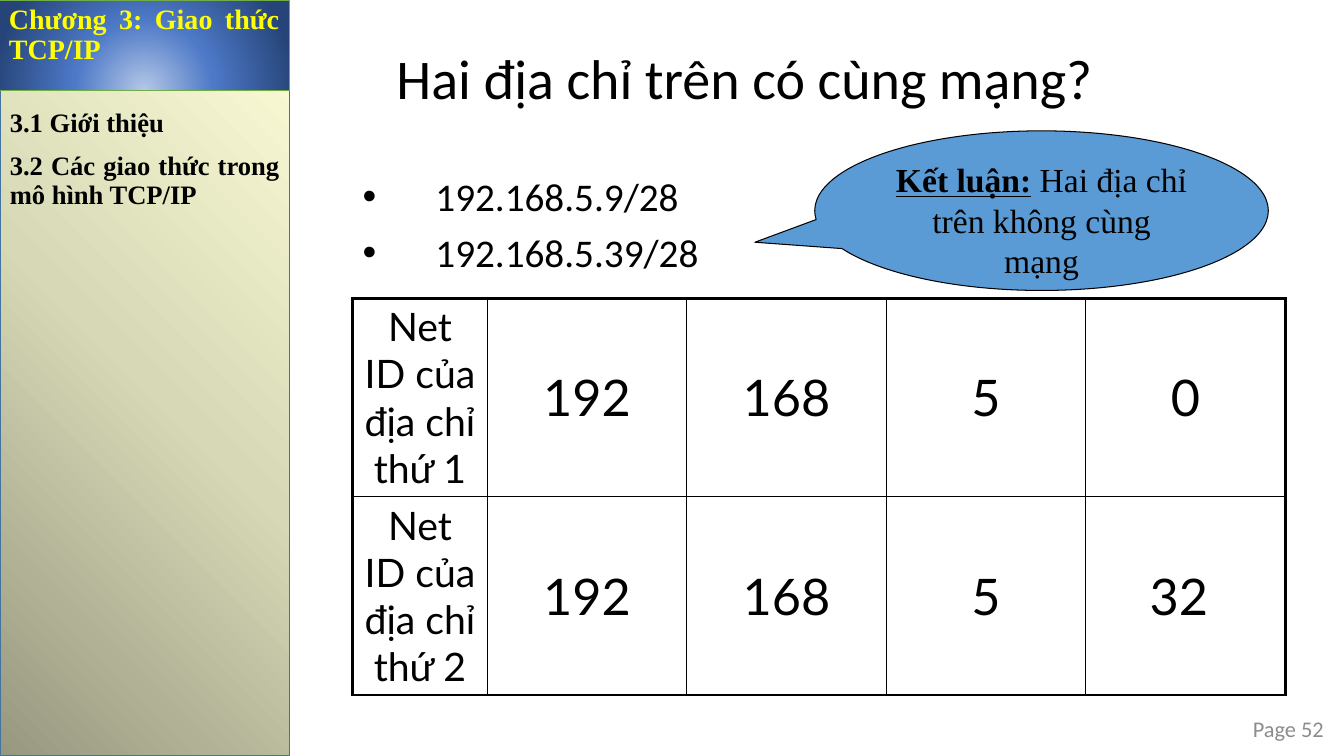
from lxml import etree
from pptx import Presentation
from pptx.dml.color import RGBColor
from pptx.enum.shapes import MSO_CONNECTOR as CONN, MSO_SHAPE as SHAPE
from pptx.enum.text import MSO_ANCHOR as ANCHOR, PP_ALIGN as ALIGN
from pptx.oxml import parse_xml
from pptx.oxml.ns import nsdecls, qn
from pptx.util import Pt

BLACK = RGBColor(0, 0, 0)
YELLOW = RGBColor(0xFF, 0xFF, 0)
GRAY = RGBColor(0x8C, 0x8C, 0x8C)
BLUE = RGBColor(0x5B, 0x9B, 0xD5)
DARK_BLUE = RGBColor(0x43, 0x73, 0x9E)
GREEN = RGBColor(0x70, 0xAD, 0x47)
OLIVE = RGBColor(0x97, 0x98, 0x80)
KHAKI = RGBColor(0xD7, 0xD8, 0xB5)
CREAM = RGBColor(0xFE, 0xFF, 0xD9)
PALE_BLUE = RGBColor(0xB4, 0xC7, 0xE7)
MID_BLUE = RGBColor(0x4D, 0x79, 0xC7)
NAVY = RGBColor(0x26, 0x44, 0x78)
SERIF = "Times New Roman"


def add_run(p, text, size, font, color=BLACK, bold=False):
    r = p.add_run()
    r.text = text
    r.font.size = Pt(size)
    r.font.name = font
    r.font.color.rgb = color
    r.font.bold = bold
    return r


def add_panel(s, box, stops, direction, line, width):
    sp = s.shapes.add_shape(SHAPE.RECTANGLE, *map(Pt, box))
    sp.shadow.inherit = False
    sp.line.color.rgb = line
    sp.line.width = Pt(width)
    gs = "".join(
        f'<a:gs pos="{pos * 1000}"><a:srgbClr val="{color}"/></a:gs>' for pos, color in stops
    )
    geom = sp._element.spPr.find(qn("a:prstGeom"))
    geom.addnext(parse_xml(
        f'<a:gradFill rotWithShape="1" {nsdecls("a")}><a:gsLst>{gs}</a:gsLst>{direction}</a:gradFill>'
    ))
    return sp


prs = Presentation()
prs.slide_width, prs.slide_height = Pt(960), Pt(540)
s = prs.slides.add_slide(prs.slide_layouts[5])

edge = s.shapes.add_connector(CONN.STRAIGHT, Pt(206.64), Pt(0), Pt(206.64), Pt(540))
edge.line.color.rgb = BLUE
edge.line.width = Pt(1.5)
etree.SubElement(edge._element.spPr, qn("a:effectLst"))

add_panel(s, (0, 0, 206.64, 540), [(0, OLIVE), (50, KHAKI), (100, CREAM)],
          '<a:lin ang="18900000" scaled="1"/>', DARK_BLUE, 1)
header = add_panel(
    s, (-0.7, 0, 207.3, 64.3), [(0, PALE_BLUE), (46, MID_BLUE), (100, NAVY)],
    '<a:path path="circle"><a:fillToRect l="50000" t="130000" r="50000" b="-30000"/></a:path>',
    GREEN, 0.5)
outline = s.shapes.add_textbox(Pt(0), Pt(75), Pt(206.64), Pt(458.6))

sidebar = [
    (header, ["Chương 3: Giao thức TCP/IP"], 20, YELLOW),
    (outline, ["3.1 Giới thiệu", "3.2 Các giao thức trong mô hình TCP/IP"], 19, BLACK),
]
for sp, lines, size, color in sidebar:
    tf = sp.text_frame
    tf.word_wrap = True
    tf.vertical_anchor = ANCHOR.TOP
    for i, line in enumerate(lines):
        p = tf.add_paragraph() if i else tf.paragraphs[0]
        p.alignment = ALIGN.JUSTIFY
        p.line_spacing = 0.9
        p.space_before = Pt(10)
        add_run(p, line, size, SERIF, color, True)

page = s.shapes.add_textbox(Pt(869.8), Pt(506.9), Pt(82.8), Pt(26.6))
tf = page.text_frame
tf.word_wrap = True
tf.vertical_anchor = ANCHOR.MIDDLE
p = tf.paragraphs[0]
p.alignment = ALIGN.RIGHT
add_run(p, "Page 52", 16, "Calibri", GRAY)

addresses = s.shapes.add_textbox(Pt(252), Pt(123), Pt(318), Pt(90))
tf = addresses.text_frame
tf.word_wrap = True
for i, address in enumerate(["192.168.5.9/28", "192.168.5.39/28"]):
    p = tf.add_paragraph() if i else tf.paragraphs[0]
    p.line_spacing = 0.9
    p.space_before = Pt(10)
    pPr = p._p.get_or_add_pPr()
    pPr.set("marL", str(Pt(52)))
    pPr.set("indent", str(Pt(-52)))
    etree.SubElement(pPr, qn("a:buFont")).set("typeface", "Arial")
    etree.SubElement(pPr, qn("a:buChar")).set("char", "•")
    add_run(p, address, 28, "Calibri")

rows = [
    ["Net ID của địa chỉ thứ 1", "192", "168", "5", "0"],
    ["Net ID của địa chỉ thứ 2", "192", "168", "5", "32 "],
]
table = s.shapes.add_table(2, 5, Pt(252), Pt(213), Pt(666), Pt(283)).table
table.first_row = table.horz_banding = False
for c, col in enumerate(table.columns):
    col.width = Pt(142.5 if c else 96)
for r, values in enumerate(rows):
    table.rows[r].height = Pt(141.5)
    for c, value in enumerate(values):
        cell = table.cell(r, c)
        cell.vertical_anchor = ANCHOR.MIDDLE
        p = cell.text_frame.paragraphs[0]
        p.alignment = ALIGN.CENTER
        add_run(p, value, 36 if c else 28, "Lato")
        outer = {"L": c == 0, "R": c == 4, "T": r == 0, "B": r == 1}
        for side, thick in outer.items():
            cell._tc.get_or_add_tcPr().append(parse_xml(
                f'<a:ln{side} w="{Pt(2.25 if thick else 1)}" {nsdecls("a")}>'
                f'<a:solidFill><a:srgbClr val="{BLACK}"/></a:solidFill></a:ln{side}>'
            ))
        cell.fill.background()

title = s.shapes.title
title.left, title.top, title.width, title.height = Pt(276), Pt(33), Pt(612), Pt(60)
tf = title.text_frame
tf.vertical_anchor = ANCHOR.TOP
p = tf.paragraphs[0]
p.alignment = ALIGN.LEFT
p.line_spacing = 0.9
add_run(p, "Hai địa chỉ trên có cùng mạng?", 40, "Calibri")

callout = s.shapes.add_shape(SHAPE.OVAL_CALLOUT, Pt(582), Pt(93.5), Pt(324), Pt(114))
callout.adjustments[0] = -0.632
callout.adjustments[1] = 0.198
callout.shadow.inherit = False
callout.fill.solid()
callout.fill.fore_color.rgb = BLUE
callout.line.color.rgb = BLACK
callout.line.width = Pt(0.75)
tf = callout.text_frame
tf.word_wrap = True
tf.vertical_anchor = ANCHOR.TOP
p = tf.paragraphs[0]
p.alignment = ALIGN.CENTER
add_run(p, "Kết luận:", 24, SERIF, bold=True).font.underline = True
add_run(p, " Hai địa chỉ trên không cùng mạng", 24, SERIF)

prs.save("out.pptx")
